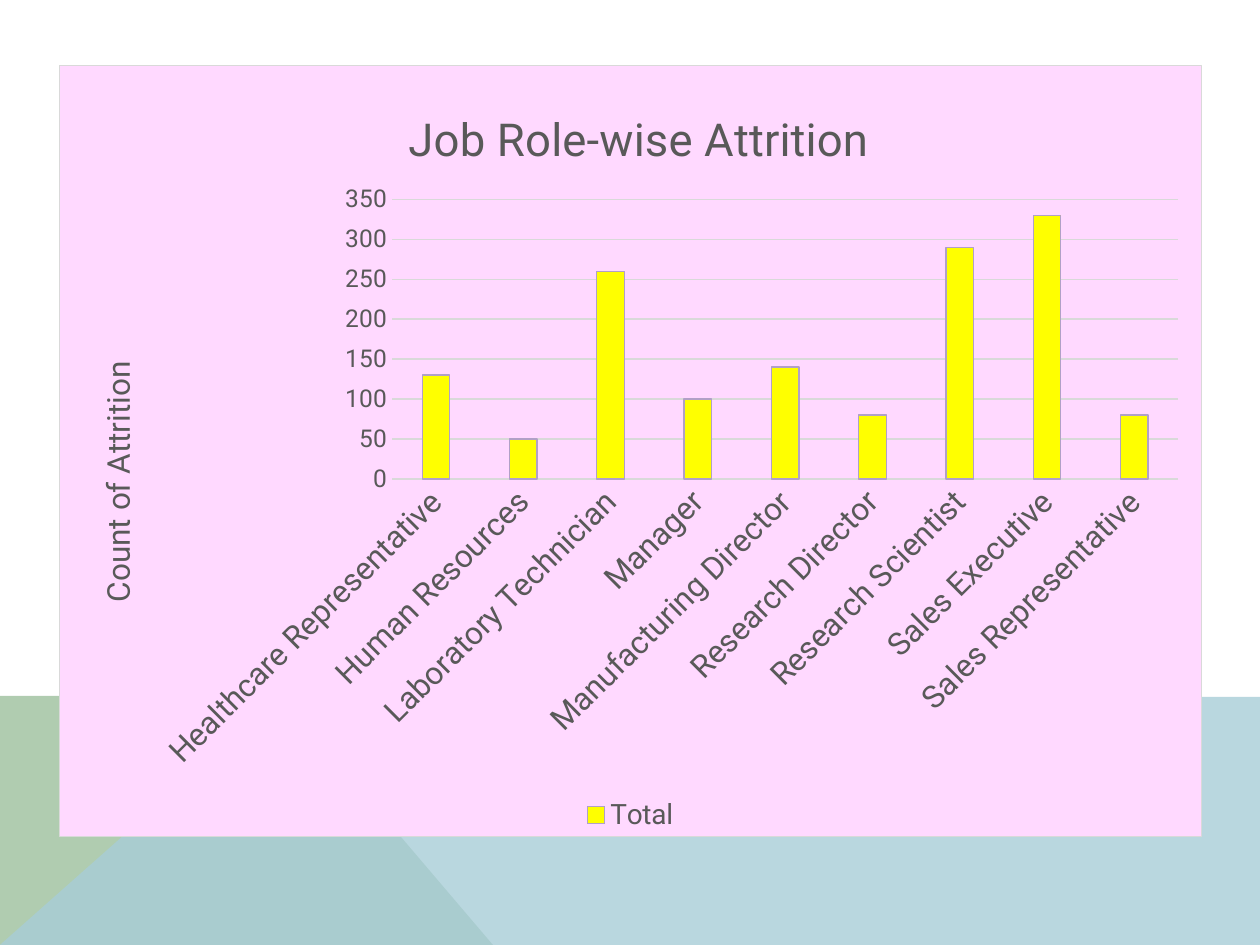
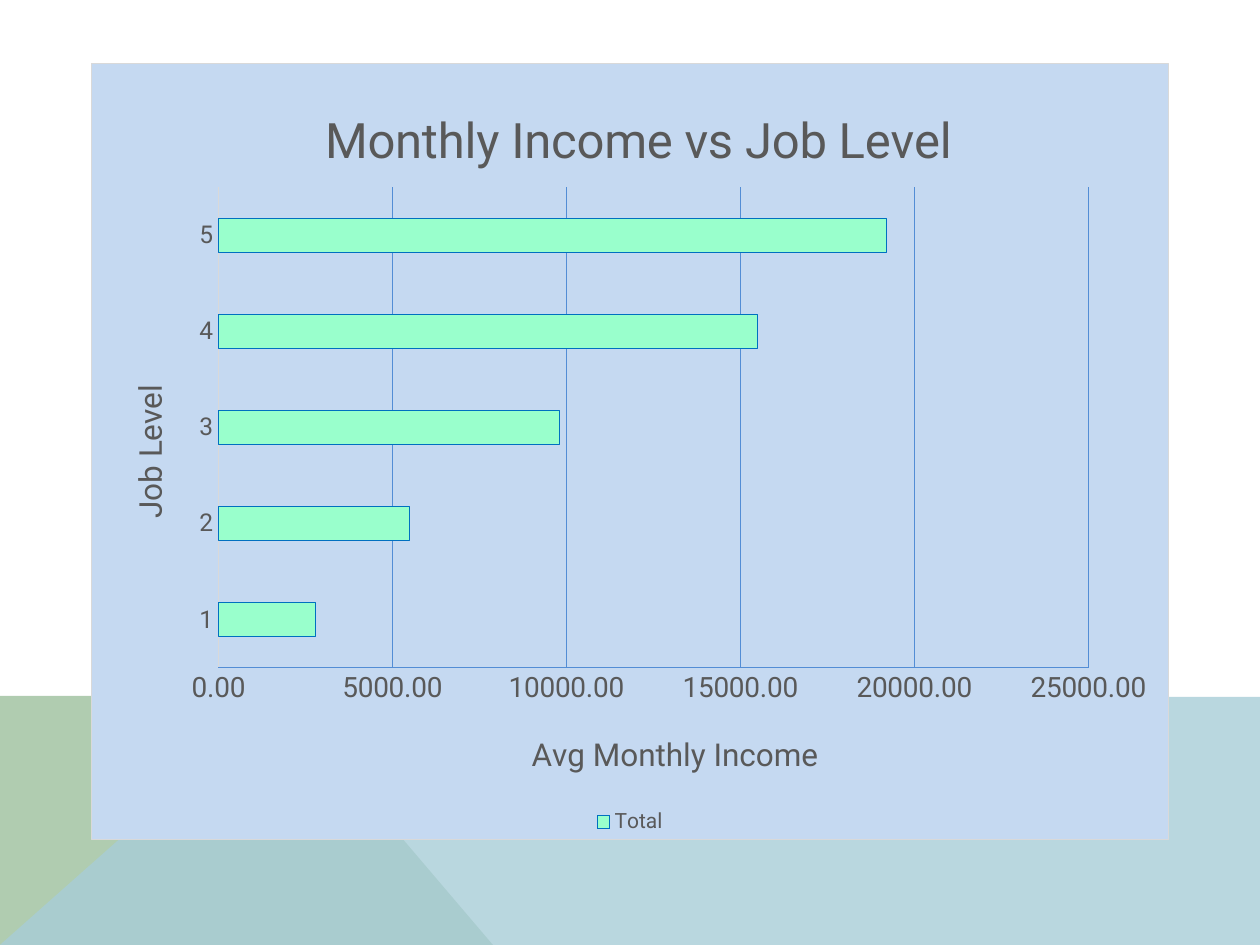
from lxml.etree import SubElement
from pptx import Presentation
from pptx.chart.data import CategoryChartData
from pptx.dml.color import RGBColor
from pptx.enum.chart import XL_CHART_TYPE, XL_LEGEND_POSITION, XL_TICK_MARK
from pptx.oxml import parse_xml
from pptx.oxml.ns import nsdecls, qn
from pptx.util import Pt

SCALE = 914400 / 126
FONT = "Roboto"
HEX = {
    "green": "B0CCB0", "teal": "A8CDD7", "text": "595959", "grey": "D9D9D9",
    "pink": "FFD9FF", "yellow": "FFFF00", "mauve": "B1A0C7",
    "sky": "C5D9F1", "mint": "99FFCC", "blue": "0070C0", "grid": "538DD5",
}
BANDS = [
    ("green", 100, [(0, 945), (0, 696), (281, 696), (493, 945)]),
    ("teal", 80, [(0, 945), (281, 696), (1260, 697), (1260, 945)]),
]
CHARTS = [
    {
        "kind": XL_CHART_TYPE.COLUMN_CLUSTERED, "box": (59, 65, 1143, 772),
        "plot": (392, 199, 787, 280), "gap": 219, "lap": -27,
        "fill": "pink", "bar": "yellow", "edge": "mauve", "grid": "grey",
        "title": ("Job Role-wise Attrition", 26, 400, 100),
        "cat": (None, 18, -45), "val": (("Count of Attrition", 18, 91, 356), 14, True),
        "top": 350, "step": 50, "form": "General", "base": False, "key": 16,
        "data": [
            ("Healthcare Representative", 130), ("Human Resources", 50),
            ("Laboratory Technician", 260), ("Manager", 100),
            ("Manufacturing Director", 140), ("Research Director", 80),
            ("Research Scientist", 290), ("Sales Executive", 330),
            ("Sales Representative", 80),
        ],
    },
    {
        "kind": XL_CHART_TYPE.BAR_CLUSTERED, "box": (91, 63, 1078, 777),
        "plot": (218, 187, 871, 481), "gap": 182, "lap": 0,
        "fill": "sky", "bar": "mint", "edge": "blue", "grid": "grid",
        "title": ("Monthly Income vs Job Level", 28, 316, 99),
        "cat": (("Job Level", 18, 123, 379), 14, 0),
        "val": (("Avg Monthly Income", 18, 526, 729), 16, False),
        "top": 25000, "step": 5000, "form": "0.00", "base": True, "key": 12,
        "data": [("1", 2800), ("2", 5500), ("3", 9800), ("4", 15500), ("5", 19200)],
    },
]


def place(node, box, spot):
    old = node.find(qn("c:layout"))
    if old is not None:
        node.remove(old)
    lay = parse_xml(f"<c:layout {nsdecls('c')}/>")
    node.insert(0 if node.find(qn("c:tx")) is None else 1, lay)
    man = SubElement(lay, qn("c:manualLayout"))
    left, top, wide, high = box
    part = [(spot[0] - left) / wide, (spot[1] - top) / high]
    if len(spot) == 4:
        SubElement(man, qn("c:layoutTarget")).set("val", "inner")
        part += [spot[2] / wide, spot[3] / high]
    for tag in ("xMode", "yMode"):
        SubElement(man, qn("c:" + tag)).set("val", "edge")
    for tag, size in zip("xywh", part):
        SubElement(man, qn("c:" + tag)).set("val", f"{size:.4f}")


def label(title, box, spec, turn):
    text, size, left, top = spec
    run = title.text_frame.paragraphs[0].add_run()
    run.text = text
    run.font.size = Pt(size)
    run.font.bold = False
    run.font.name = FONT
    run.font.color.rgb = RGBColor.from_string(HEX["text"])
    body = title._element.find(".//" + qn("a:bodyPr"))
    body.set("rot", str(turn * 60000))
    body.set("vert", "horz")
    place(title._element, box, (left, top))


deck = Presentation()
deck.slide_width = round(1260 * SCALE)
deck.slide_height = round(945 * SCALE)

for item in CHARTS:
    slide = deck.slides.add_slide(deck.slide_layouts[6])

    for tint, solid, dots in BANDS:
        pen = slide.shapes.build_freeform(*dots[0], scale=SCALE)
        pen.add_line_segments(dots[1:], close=True)
        band = pen.convert_to_shape()
        band.shadow.inherit = False
        band.line.fill.background()
        band.fill.solid()
        band.fill.fore_color.rgb = RGBColor.from_string(HEX[tint])
        if solid < 100:
            tone = band._element.spPr.find(".//" + qn("a:srgbClr"))
            SubElement(tone, qn("a:alpha")).set("val", str(solid * 1000))

    data = CategoryChartData(number_format=item["form"])
    data.categories = [name for name, num in item["data"]]
    data.add_series("Total", [num for name, num in item["data"]])
    box = item["box"]
    frame = slide.shapes.add_chart(item["kind"], *[round(n * SCALE) for n in box], data)
    chart = frame.chart
    chart.font.name = FONT
    chart.font.size = Pt(10)
    chart._chartSpace.find(qn("c:chart")).addnext(parse_xml(
        f"<c:spPr {nsdecls('c', 'a')}>"
        f"<a:solidFill><a:srgbClr val='{HEX[item['fill']]}'/></a:solidFill>"
        f"<a:ln w='9525'><a:solidFill><a:srgbClr val='{HEX['grey']}'/></a:solidFill></a:ln>"
        "</c:spPr>"))
    chart.has_title = True
    label(chart.chart_title, box, item["title"], 0)
    place(chart._chartSpace.find(".//" + qn("c:plotArea")), box, item["plot"])

    plot = chart.plots[0]
    plot.vary_by_categories = False
    plot.gap_width = item["gap"]
    plot.overlap = item["lap"]
    bar = plot.series[0].format
    bar.fill.solid()
    bar.fill.fore_color.rgb = RGBColor.from_string(HEX[item["bar"]])
    bar.line.width = Pt(0.75)
    bar.line.color.rgb = RGBColor.from_string(HEX[item["edge"]])

    cat, val = chart.category_axis, chart.value_axis
    cat.has_major_gridlines = False
    val.has_major_gridlines = True
    val.minimum_scale = 0
    val.maximum_scale = item["top"]
    val.major_unit = item["step"]
    val.tick_labels.number_format = item["form"]
    val.tick_labels.number_format_is_linked = False
    lines = [(cat.format.line, "grey"), (val.major_gridlines.format.line, item["grid"])]
    if item["base"]:
        lines.append((val.format.line, item["grid"]))
    else:
        val.format.line.fill.background()
    for line, tint in lines:
        line.width = Pt(0.75)
        line.color.rgb = RGBColor.from_string(HEX[tint])

    chart.has_legend = True
    chart.legend.position = XL_LEGEND_POSITION.BOTTOM
    chart.legend.include_in_layout = False
    fonts = [(chart.legend.font, item["key"])]
    for axis, (head, size, mode) in ((cat, item["cat"]), (val, item["val"])):
        axis.major_tick_mark = XL_TICK_MARK.NONE
        axis.minor_tick_mark = XL_TICK_MARK.NONE
        fonts.append((axis.tick_labels.font, size))
        axis.has_title = head is not None
        if head:
            side = axis is cat or mode
            label(axis.axis_title, box, head, -90 if side else 0)
    for font, size in fonts:
        font.name = FONT
        font.size = Pt(size)
        font.color.rgb = RGBColor.from_string(HEX["text"])
    turn = item["cat"][2]
    body = cat._element.find(qn("c:txPr")).find(qn("a:bodyPr"))
    body.set("rot", str(turn * 60000))
    body.set("vert", "horz")

deck.save("out.pptx")
